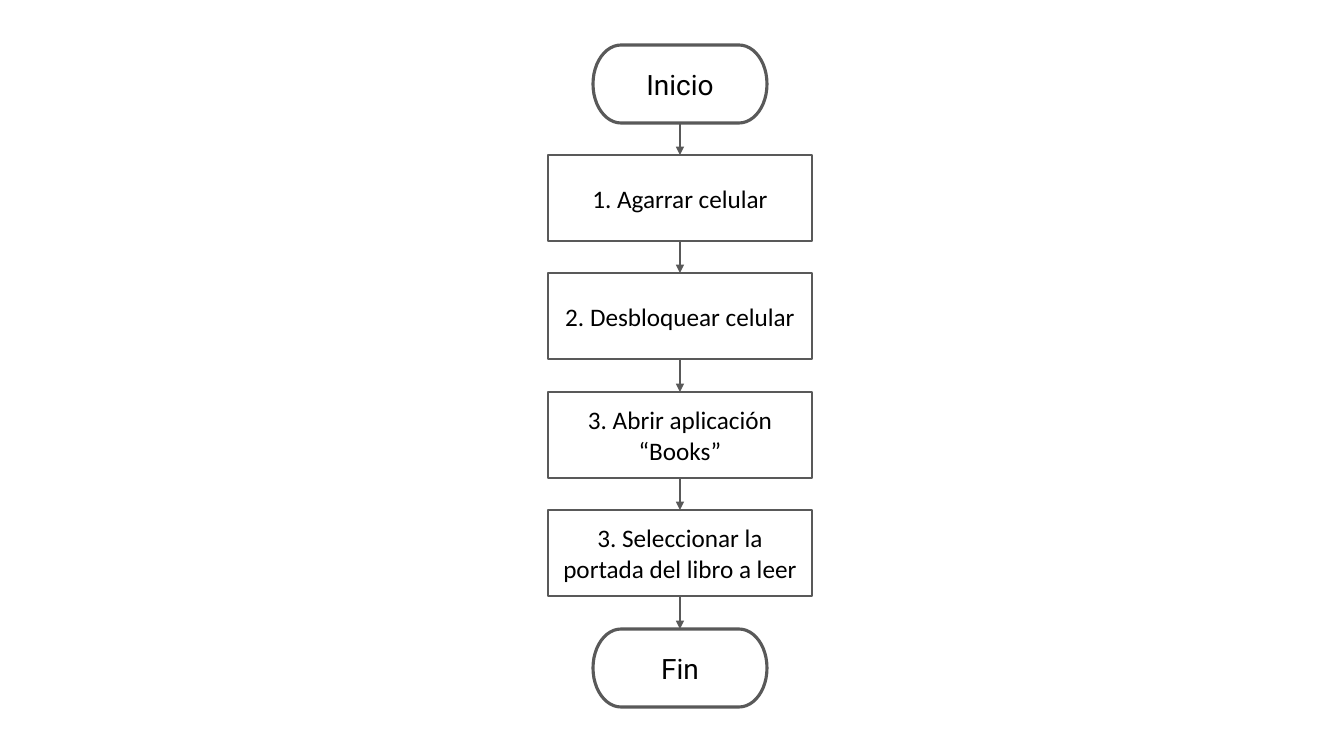
from lxml import etree
from pptx import Presentation
from pptx.dml.color import RGBColor
from pptx.enum.shapes import MSO_CONNECTOR, MSO_SHAPE
from pptx.enum.text import MSO_ANCHOR, PP_ALIGN
from pptx.oxml.ns import qn
from pptx.util import Emu, Pt

SCALE = 914400 / 100.8
PILL = MSO_SHAPE.FLOWCHART_TERMINATOR
RECT = MSO_SHAPE.RECTANGLE
LINE = MSO_CONNECTOR.STRAIGHT
MID = MSO_ANCHOR.MIDDLE
CENTER = PP_ALIGN.CENTER
TOP, BOTTOM = 0, 2  # connection sites
HEX = {"fill": "FFFFFF", "line": "595959", "text": "000000"}
END = {"kind": PILL, "size": (174, 78), "line": 2.25,
       "font": {"name": "Roboto", "size": Pt(20)}}
STEP = {"kind": RECT, "size": (264, 86), "line": 1.5,
        "font": {"name": "Calibri", "size": Pt(18)}}


def px(num):
    """Turn pixels into EMU."""
    return Emu(round(num * SCALE))


def color(name):
    """Look up a colour by its role."""
    return RGBColor.from_string(HEX[name])


class Chart:
    """Flow chart style on the current slide."""

    def __init__(self, slide, mid):
        """Keep the slide and the middle axis."""
        self.slide = slide
        self.mid = mid

    def stroke(self, line, width):
        """Set the colour and width of a line."""
        line.color.rgb = color("line")
        line.width = Pt(width)

    def node(self, text, top, style):
        """Draw one labelled node, centred on the axis."""
        wide, high = style["size"]
        left = self.mid - wide // 2
        shape = self.slide.shapes.add_shape(
            style["kind"], px(left), px(top), px(wide), px(high))
        shape.shadow.inherit = False
        shape.fill.solid()
        shape.fill.fore_color.rgb = color("fill")
        self.stroke(shape.line, style["line"])
        frame = shape.text_frame
        frame.word_wrap = True
        frame.vertical_anchor = MID
        para = frame.paragraphs[0]
        para.alignment = CENTER
        run = para.add_run()
        run.text = text
        for key, value in style["font"].items():
            setattr(run.font, key, value)
        run.font.color.rgb = color("text")
        return shape

    def arrow(self, start, end):
        """Join the bottom of one node to the top of the next."""
        link = self.slide.shapes.add_connector(LINE, 0, 0, 0, 0)
        link.begin_connect(start, BOTTOM)
        link.end_connect(end, TOP)
        self.stroke(link.line, 1)
        props = link.line._get_or_add_ln()
        etree.SubElement(props, qn("a:tailEnd"), type="triangle")
        etree.SubElement(link._element.spPr, qn("a:effectLst"))


def main():
    """Build the slide and save it."""
    deck = Presentation()
    deck.slide_width, deck.slide_height = px(1344), px(756)
    chart = Chart(deck.slides.add_slide(deck.slide_layouts[6]), 680)
    steps = ["1. Agarrar celular", "2. Desbloquear celular",
             "3. Abrir aplicación “Books”",
             "3. Seleccionar la portada del libro a leer"]
    first, pitch = 155, 118.4
    nodes = [chart.node("Inicio", 45, END)]
    for i, text in enumerate(steps + ["Fin"]):
        style = STEP if i < len(steps) else END
        nodes.append(chart.node(text, round(first + i * pitch), style))
    for start, end in zip(nodes, nodes[1:]):
        chart.arrow(start, end)
    deck.save("out.pptx")


main()
